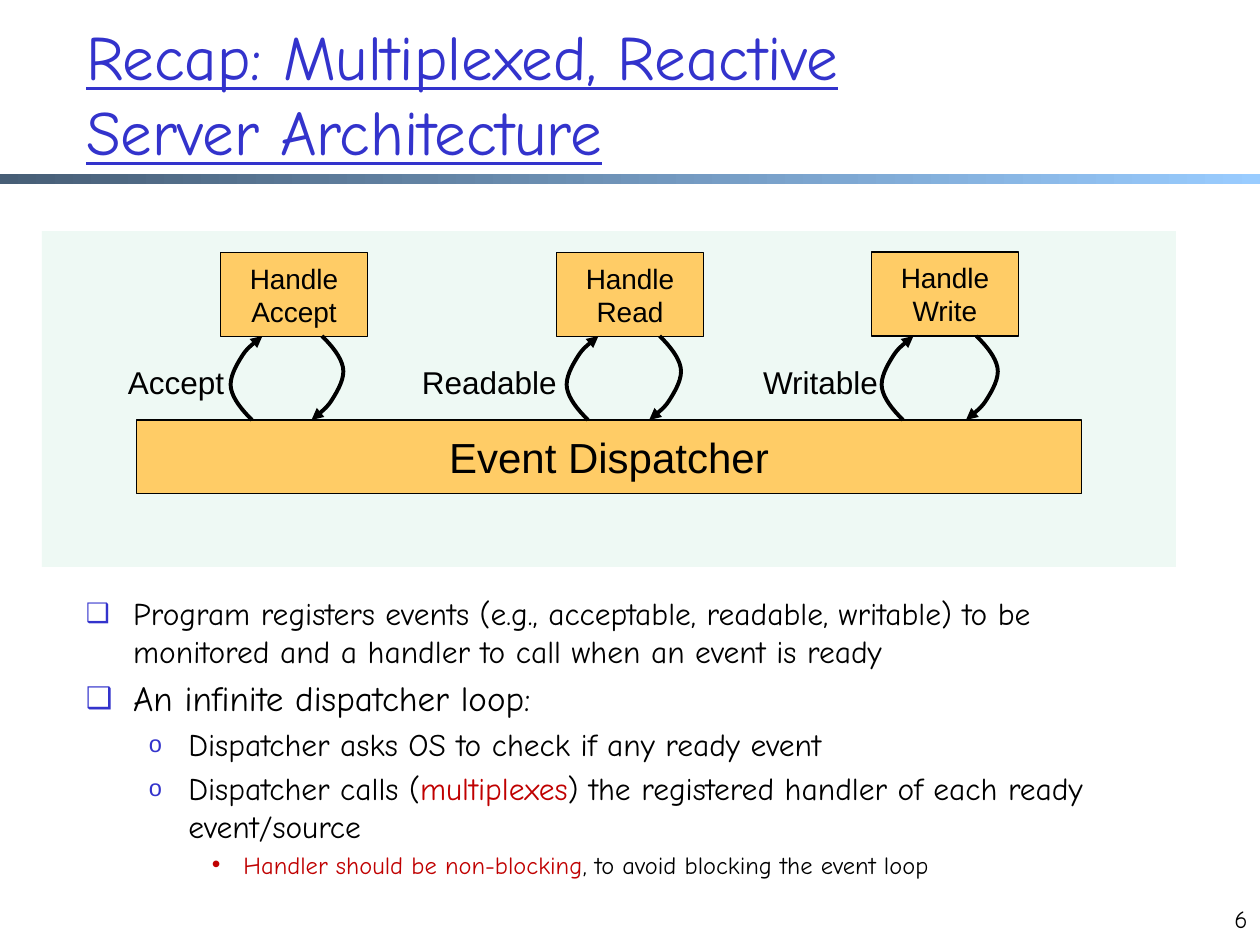
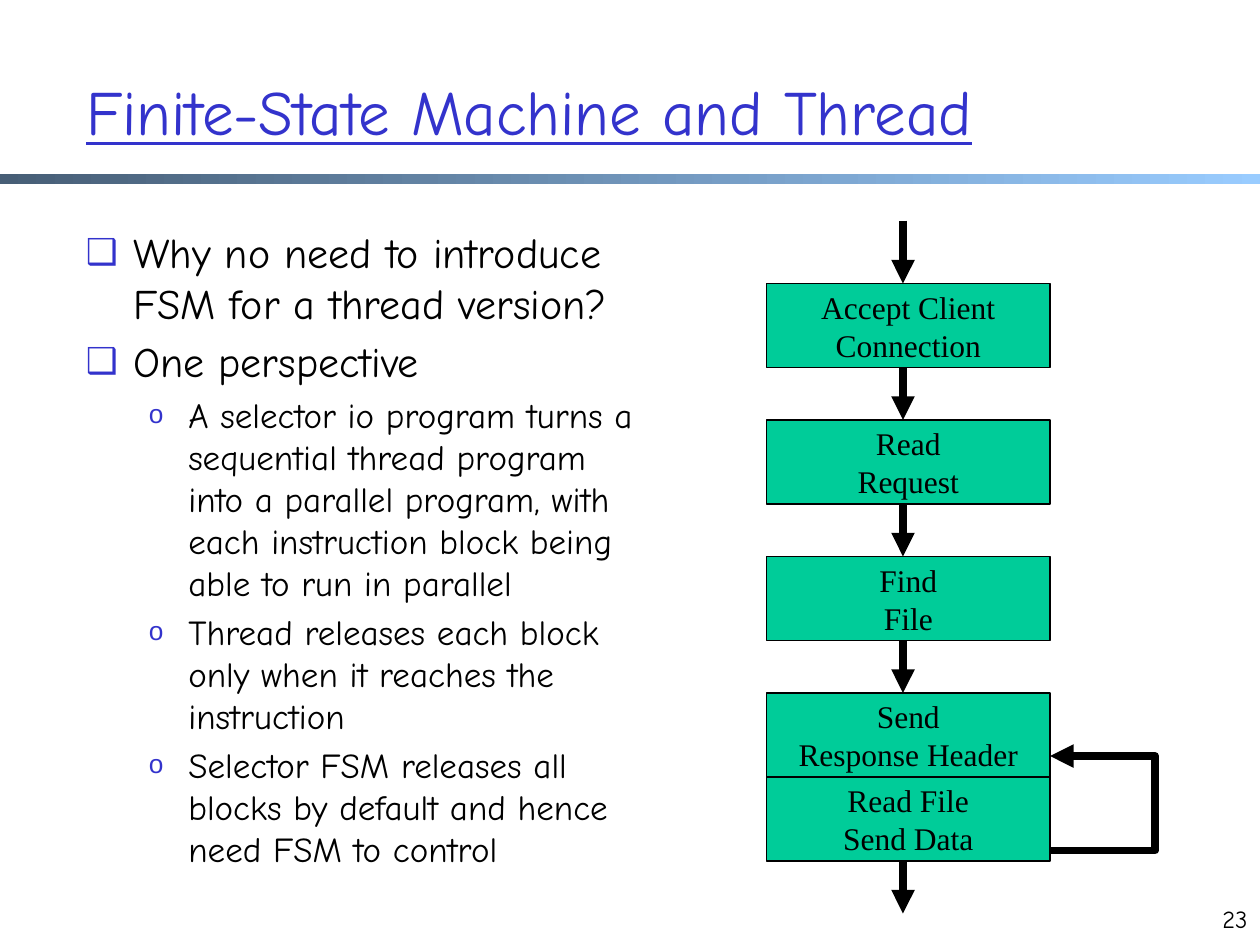
from lxml.etree import SubElement
from pptx import Presentation
from pptx.dml.color import RGBColor
from pptx.enum.shapes import MSO_CONNECTOR, MSO_SHAPE
from pptx.enum.text import MSO_ANCHOR, MSO_AUTO_SIZE, PP_ALIGN
from pptx.oxml.ns import qn
from pptx.util import Inches, Pt

UNIT = Inches(10) / 120
BLUE, BLACK, RED = "3333CC", "000000", "C00000"
PANEL, AMBER, GREEN = "EEF9F4", "FFCC66", "00CC99"
BAND = ("475E76", "99CCFF")
HAND, SANS, SERIF = "Comic Neue", "Arial", "Times New Roman"
BULLETS = {
    "main": dict(char="❑", left=4.5, hang=4.5, color=BLUE, scale=85),
    "sub": dict(char="o", left=9.75, hang=3.75, color=BLUE, scale=75),
    "detail": dict(char="•", left=15, hang=3, color=RED, scale=100),
}
CURVE = [(0, 0), (-1, -1), (-1.8, -2), (-2, -3), (-2.2, -4), (-1.5, -5.2),
         (-1, -6), (-0.5, -6.8), (0.7, -7.8), (1, -8)]


def grid(*values):
    return [round(v * UNIT) for v in values]


def rgb(code):
    return RGBColor.from_string(code)


def apply(target, values):
    for name, value in values.items():
        setattr(target, name, value)


def add_text(p, text, color=BLACK, **font):
    for i, line in enumerate(text.split("\n")):
        if i:
            p.add_line_break()
        r = p.add_run()
        r.text = line
        apply(r.font, font)
        r.font.color.rgb = rgb(color)


def next_paragraph(tf, i):
    return tf.add_paragraph() if i else tf.paragraphs[0]


def set_title(s, text, left, top, width, height):
    sp = s.shapes.title
    box = grid(left, top, width, height)
    apply(sp, dict(zip(("left", "top", "width", "height"), box)))
    tf = sp.text_frame
    apply(tf, dict(word_wrap=True, auto_size=MSO_AUTO_SIZE.NONE,
                   vertical_anchor=MSO_ANCHOR.MIDDLE))
    p = tf.paragraphs[0]
    p.alignment = PP_ALIGN.LEFT
    add_text(p, text, BLUE, name=HAND, size=Pt(36), underline=True)


def add_textbox(s, left, top, width, height, wrap=True):
    tf = s.shapes.add_textbox(*grid(left, top, width, height)).text_frame
    tf.word_wrap = wrap
    return tf


def add_label(s, text, left, top, width, height, size, font,
              align=PP_ALIGN.LEFT, wrap=False):
    p = add_textbox(s, left, top, width, height, wrap).paragraphs[0]
    p.alignment = align
    add_text(p, text, name=font, size=Pt(size))


def set_bullet(p, char, left, hang, color, scale):
    pPr = p._p.get_or_add_pPr()
    for name, value in zip(("marL", "indent"), grid(left, -hang)):
        pPr.set(name, str(value))
    SubElement(SubElement(pPr, qn("a:spcBef")), qn("a:spcPct"), val="20000")
    SubElement(SubElement(pPr, qn("a:buClr")), qn("a:srgbClr"), val=color)
    SubElement(pPr, qn("a:buSzPct"), val=str(scale * 1000))
    SubElement(pPr, qn("a:buFont"), typeface=SANS)
    SubElement(pPr, qn("a:buChar"), char=char)


def add_bullets(s, items, left, top, width, height):
    tf = add_textbox(s, left, top, width, height)
    for i, (kind, size, *runs) in enumerate(items):
        p = next_paragraph(tf, i)
        set_bullet(p, **BULLETS[kind])
        for text, color in runs:
            add_text(p, text, color, name=HAND, size=Pt(size))


def add_rect(s, left, top, width, height):
    sp = s.shapes.add_shape(MSO_SHAPE.RECTANGLE,
                            *grid(left, top, width, height))
    sp.shadow.inherit = False
    sp.line.fill.background()
    return sp


def add_panel(s, color, *box):
    sp = add_rect(s, *box)
    sp.fill.solid()
    sp.fill.fore_color.rgb = rgb(color)
    return sp


def add_box(s, lines, color, left, top, width, height, size, font):
    sp = add_panel(s, color, left, top, width, height)
    set_line(sp, 0.75)
    tf = sp.text_frame
    apply(tf, dict(word_wrap=False, vertical_anchor=MSO_ANCHOR.MIDDLE))
    for i, line in enumerate(lines):
        p = next_paragraph(tf, i)
        p.alignment = PP_ALIGN.CENTER
        add_text(p, line, name=font, size=Pt(size))


def set_line(sp, width, arrow=False):
    sp.line.color.rgb = rgb(BLACK)
    sp.line.width = Pt(width)
    if arrow:
        SubElement(sp.get_or_add_ln(), qn("a:tailEnd"), type="triangle")


def add_arrow(s, x, top, bottom):
    sp = s.shapes.add_connector(MSO_CONNECTOR.STRAIGHT,
                                *grid(x, top, x, bottom))
    set_line(sp, 4.5, arrow=True)
    SubElement(sp.element.spPr, qn("a:effectLst"))


def add_route(s, points, width):
    start, *rest = [grid(*pt) for pt in points]
    builder = s.shapes.build_freeform(*start)
    builder.add_line_segments(rest, close=False)
    sp = builder.convert_to_shape()
    sp.shadow.inherit = False
    sp.fill.background()
    set_line(sp, width, arrow=True)
    return sp


def add_curve(s, x, y, direction):
    sp = add_route(s, [(x + direction * dx, y + direction * dy)
                       for dx, dy in CURVE], 2.25)
    legs = list(sp.element.iter(qn("a:lnTo")))
    outline = legs[0].getparent()
    for i in range(0, len(legs), 3):
        bend = SubElement(outline, qn("a:cubicBezTo"))
        for leg in legs[i:i + 3]:
            bend.append(leg[0])
            outline.remove(leg)


def add_band(s, layout):
    sp = add_rect(s, 0, 16.6, 120, 0.95)
    sp.fill.gradient()
    sp.fill.gradient_angle = 0
    for stop, color, position in zip(sp.fill.gradient_stops, BAND, (0, 1)):
        stop.color.rgb = rgb(color)
        stop.position = position
    layout.shapes.element.append(sp.element)


def add_slide_number(s, number):
    add_label(s, str(number), 114, 85.5, 6, 6, 14, HAND,
              PP_ALIGN.RIGHT, wrap=True)


def build_server(s):
    set_title(s, "Recap: Multiplexed, Reactive\nServer Architecture",
              7, 1.35, 102, 15)
    add_bullets(s, [
        ("main", 18, ("Program registers events (e.g., acceptable, readable, "
                      "writable) to be monitored and a handler to call when "
                      "an event is ready", BLACK)),
        ("main", 20, ("An infinite dispatcher loop:", BLACK)),
        ("sub", 18, ("Dispatcher asks OS to check if any ready event", BLACK)),
        ("sub", 18, ("Dispatcher calls (", BLACK), ("multiplexes", RED),
         (") the registered handler of each ready event/source", BLACK)),
        ("detail", 14, ("Handler should be non-blocking", RED),
         (", to avoid blocking the event loop", BLACK)),
    ], 7, 56, 102, 31)
    add_slide_number(s, 6)
    add_panel(s, PANEL, 4, 22, 108, 32)
    handlers = [("Accept", "Accept", 21, 24.06, 30.67, 11, 11.6),
                ("Read", "Readable", 53, 24.06, 62.83, 39, 15.4),
                ("Write", "Writable", 83, 24, 93, 71.5, 13.4)]
    for action, event, x, top, *rest in handlers:
        add_box(s, [f"Handle\n{action}"], AMBER, x, top, 14, 8, 16, SANS)
    add_box(s, ["Event Dispatcher"], AMBER, 13, 40, 90, 7, 24, SANS)
    for action, event, x, top, back_x, label_x, label_width in handlers:
        add_curve(s, x + 3, 40, 1)
        add_curve(s, back_x, 32, -1)
        add_label(s, event, label_x, 34, label_width, 4.8, 18, SANS)


def build_state_machine(s):
    set_title(s, "Finite-State Machine and Thread", 7, 3, 105, 15)
    add_slide_number(s, 23)
    states = [("Accept Client", "Connection"), ("Read", "Request"),
              ("Find", "File"), ("Send", "Response Header")]
    for i, state in enumerate(states):
        top = 27 + 13 * i
        add_box(s, state, GREEN, 73, top, 27, 8, 18, SERIF)
        add_arrow(s, 86, top - (5 if i else 6), top)
    add_box(s, ("Read File", "Send Data"), GREEN, 73, 74, 27, 8, 18, SERIF)
    add_arrow(s, 86, 82, 87)
    add_route(s, [(100, 81), (110, 81), (110, 72), (100, 72)], 4.5)
    add_bullets(s, [
        ("main", 24, ("Why no need to introduce FSM for a thread version?",
                      BLACK)),
        ("main", 24, ("One perspective", BLACK)),
        ("sub", 20, ("A selector io program turns a sequential thread program "
                     "into a parallel program, with each instruction block "
                     "being able to run in parallel", BLACK)),
        ("sub", 20, ("Thread releases each block only when it reaches the "
                     "instruction", BLACK)),
        ("sub", 20, ("Selector FSM releases all blocks by default and hence "
                     "need FSM to control", BLACK)),
    ], 7, 21, 56, 61)


def main():
    prs = Presentation()
    apply(prs, dict(slide_width=Inches(10), slide_height=Inches(7.5)))
    layout = prs.slide_layouts[5]
    slides = [prs.slides.add_slide(layout) for _ in range(2)]
    add_band(slides[0], layout)
    build_server(slides[0])
    build_state_machine(slides[1])
    prs.save("out.pptx")


if __name__ == "__main__":
    main()
